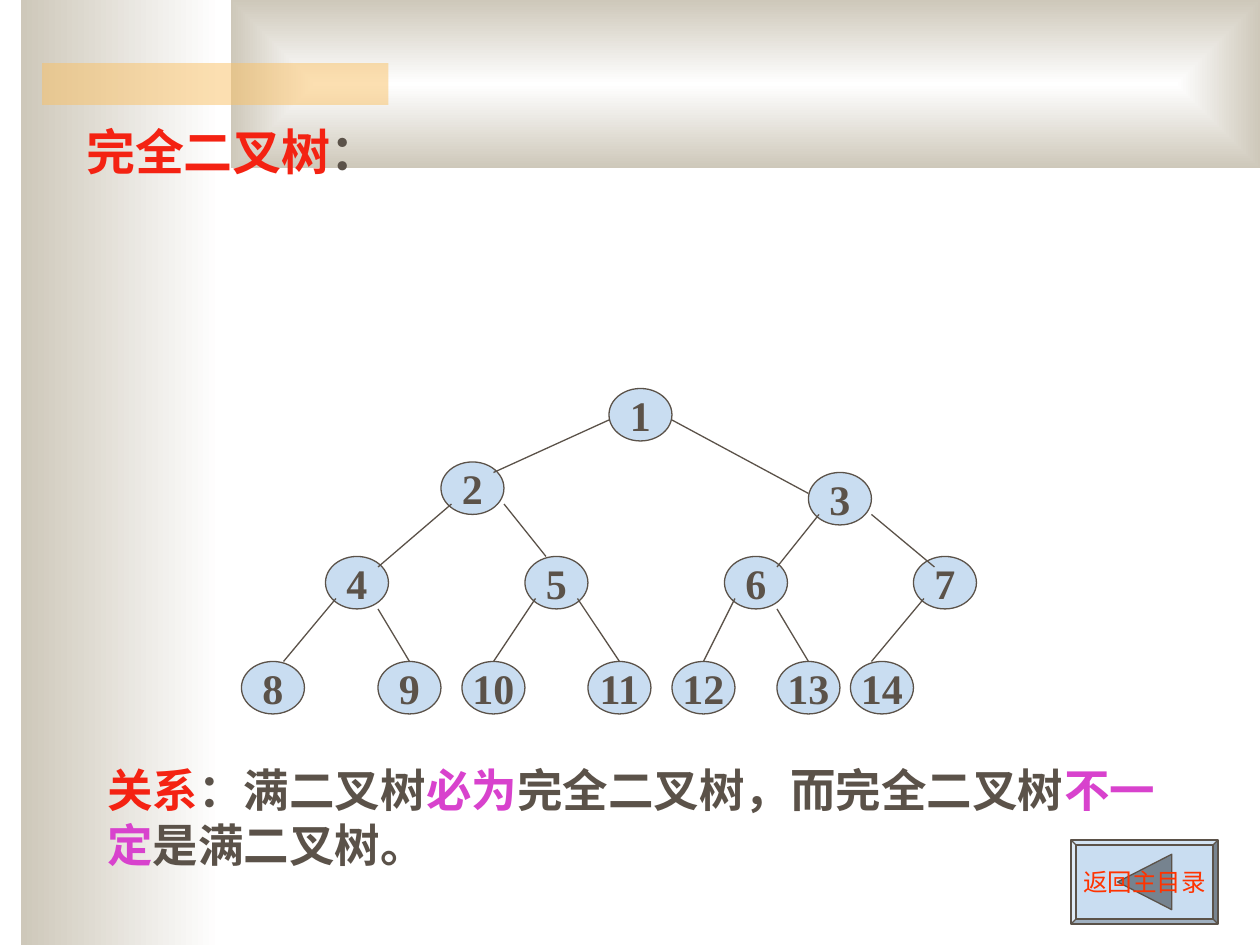
from lxml.etree import SubElement
from pptx import Presentation
from pptx.dml.color import RGBColor
from pptx.enum.shapes import MSO_CONNECTOR, MSO_SHAPE
from pptx.enum.text import MSO_ANCHOR, MSO_AUTO_SIZE, PP_ALIGN
from pptx.oxml.ns import qn
from pptx.util import Inches, Pt

INK, RED, MAGENTA = "5B5249", "F42212", "D842CD"
PALE_BLUE, TRIANGLE_GREY, SAND = "C9DDF1", "76838F", "CEC8BA"
UNIT = Inches(1) / 12  # the slide is a grid of 120 columns by 90 rows


def paint(color_format, hex_color):
    color_format.rgb = RGBColor.from_string(hex_color)


def write(shape, *runs, size, bold=True, align=PP_ALIGN.CENTER,
          anchor=MSO_ANCHOR.MIDDLE, wrap=False):
    """Fill a shape with one paragraph made of (text, colour) runs."""
    frame = shape.text_frame
    frame.auto_size = MSO_AUTO_SIZE.NONE
    frame.word_wrap = wrap
    frame.vertical_anchor = anchor
    paragraph = frame.paragraphs[0]
    paragraph.alignment = align
    paragraph.space_before = Pt(0)
    for text, hex_color in runs:
        run = paragraph.add_run()
        run.text = text
        run.font.name = "Times New Roman"
        run.font.size = Pt(size)
        run.font.bold = bold
        paint(run.font.color, hex_color)


presentation = Presentation()
presentation.slide_width = round(120 * UNIT)
presentation.slide_height = round(90 * UNIT)
slide = presentation.slides.add_slide(presentation.slide_layouts[1])
title, body = slide.placeholders

# Background bands: left, top and the accent bar
bands = []
for left, top, width, height in [(2, 0, 19, 90), (22, 0, 98, 16), (4, 6, 33, 4)]:
    band = slide.shapes.add_shape(
        MSO_SHAPE.RECTANGLE, *(round(n * UNIT) for n in (left, top, width, height)))
    band.shadow.inherit = False
    band.line.fill.background()
    bands.append(band)
left_band, top_band, accent_bar = bands

for band in (left_band, top_band):
    band.fill.gradient()
    band.fill.gradient_angle = 180
    for stop, position, hex_color in zip(band.fill.gradient_stops, (0, 1), ("FFFFFF", SAND)):
        stop.position = position
        paint(stop.color, hex_color)

# The top band shades from its centre to its edges
gradient = top_band.element.spPr.find(qn("a:gradFill"))
gradient.remove(gradient.find(qn("a:lin")))
gradient_path = SubElement(gradient, qn("a:path"), path="rect")
SubElement(gradient_path, qn("a:fillToRect"), l="50000", t="50000", r="50000", b="50000")

accent_bar.fill.solid()
paint(accent_bar.fill.fore_color, "FAC164")
accent_color = accent_bar.element.spPr.find(qn("a:solidFill"))[0]
SubElement(accent_color, qn("a:alpha"), val="50000")

# Title and relation text, in front of the bands
for placeholder, box in [(title, (7, 11, 110, 7)), (body, (9, 72, 106, 12))]:
    placeholder.left, placeholder.top, placeholder.width, placeholder.height = (
        round(n * UNIT) for n in box)
    placeholder.element.getparent().append(placeholder.element)

body_properties = body.text_frame.paragraphs[0]._p.get_or_add_pPr()
body_properties.set("marL", "0")
body_properties.set("indent", "0")
SubElement(body_properties, qn("a:buNone"))

write(title, ("完全二叉树", RED), ("：", INK), size=28,
      align=PP_ALIGN.LEFT, anchor=MSO_ANCHOR.TOP, wrap=True)
write(body, ("关系", RED), ("：满二叉树", INK), ("必为", MAGENTA),
      ("完全二叉树，而完全二叉树", INK), ("不一定", MAGENTA), ("是满二叉树。", INK),
      size=26, align=PP_ALIGN.LEFT, anchor=MSO_ANCHOR.TOP, wrap=True)

# Tree nodes, numbered level by level
nodes = [(58, 37), (42, 44), (77, 45)]
nodes += [(column, 53) for column in (31, 50, 69, 87)]
nodes += [(column, 63) for column in (23, 36, 44, 56, 64, 74, 81)]
for number, (column, row) in enumerate(nodes, start=1):
    node = slide.shapes.add_shape(
        MSO_SHAPE.OVAL, *(round(n * UNIT) for n in (column, row, 6, 5)))
    node.shadow.inherit = False
    node.fill.solid()
    paint(node.fill.fore_color, PALE_BLUE)
    paint(node.line.color, INK)
    node.line.width = Pt(0.75)
    write(node, (str(number), INK), size=24)

# Tree branches, from parent to child
branches = [
    (58, 40, 47, 45), (64, 40, 77, 47),
    (43, 48, 36, 54), (48, 48, 52, 53), (78, 49, 74, 54), (83, 49, 89, 54),
    (32, 57, 27, 63), (36, 58, 39, 63), (51, 57, 47, 63), (55, 57, 59, 63),
    (70, 57, 67, 63), (74, 58, 77, 63), (88, 57, 83, 63),
]
for ends in branches:
    branch = slide.shapes.add_connector(
        MSO_CONNECTOR.STRAIGHT, *(round(n * UNIT) for n in ends))
    paint(branch.line.color, INK)
    branch.line.width = Pt(0.75)
    SubElement(branch.element.spPr, qn("a:effectLst"))

# Button back to the main menu: a bevel with a triangle that carries the label
button = slide.shapes.add_shape(
    MSO_SHAPE.BEVEL, *(round(n * UNIT) for n in (102, 80, 14, 8)))
button.adjustments[0] = 0.06
builder = slide.shapes.build_freeform(Inches(8.87), Inches(7))
builder.add_line_segments(
    [(Inches(9.3), Inches(6.78)), (Inches(9.3), Inches(7.22))], close=True)
triangle = builder.convert_to_shape()
for shape, hex_color in [(button, PALE_BLUE), (triangle, TRIANGLE_GREY)]:
    shape.shadow.inherit = False
    shape.fill.solid()
    paint(shape.fill.fore_color, hex_color)
    paint(shape.line.color, INK)
    shape.line.width = Pt(0.75)
write(triangle, ("返回主目录", "FF3300"), size=14, bold=False)

presentation.save("out.pptx")
